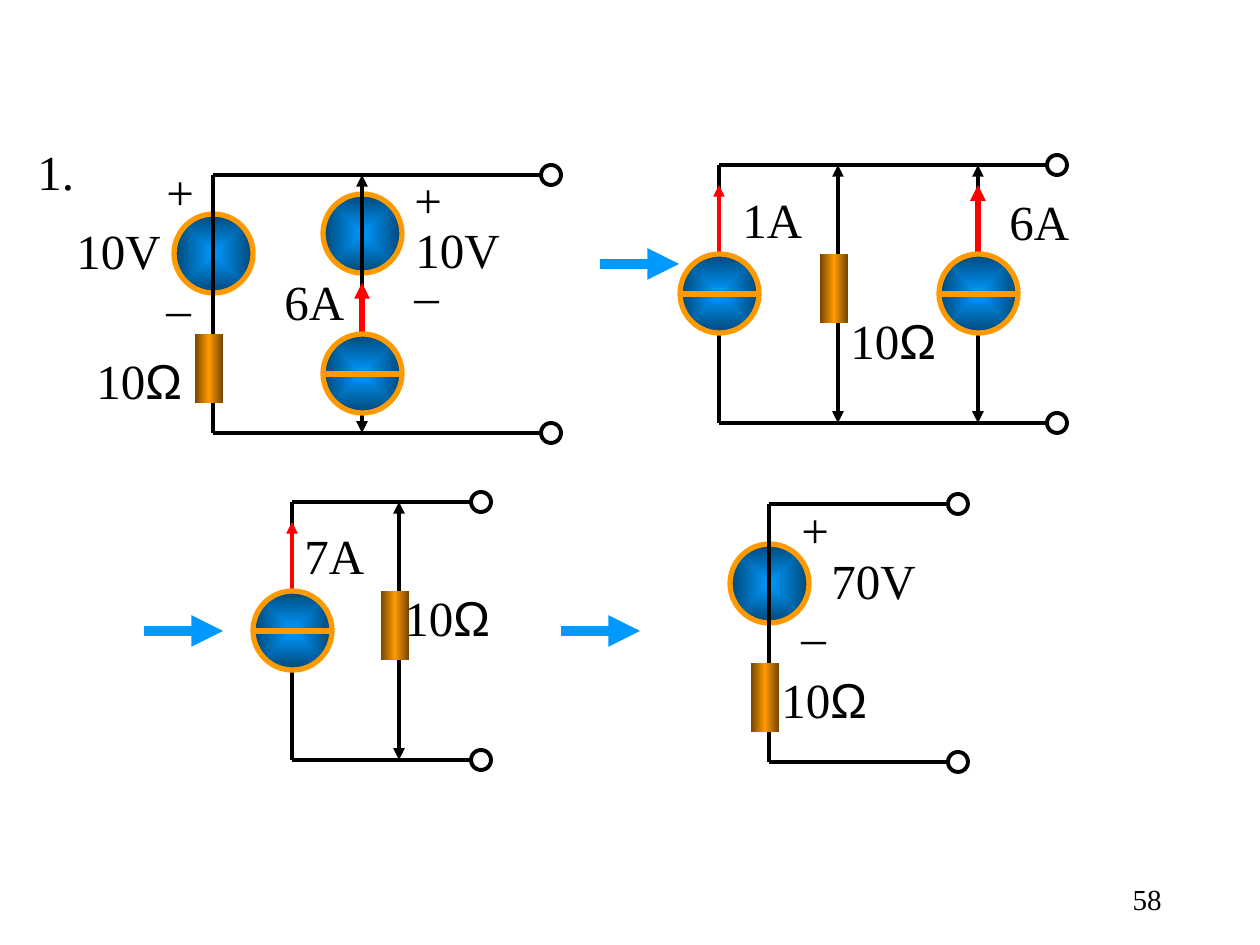
import dataclasses
import typing

import lxml.etree
import pptx
import pptx.dml.color
import pptx.enum.shapes
import pptx.enum.text
import pptx.oxml.ns
import pptx.util

PX = 914400 // 126
SOURCE, RESISTOR_W, RESISTOR_H, TERMINAL = 79, 28, 69, 20
RECT = pptx.enum.shapes.MSO_SHAPE.RECTANGLE
OVAL = pptx.enum.shapes.MSO_SHAPE.OVAL
qn = pptx.oxml.ns.qn


@dataclasses.dataclass(frozen=True)
class Theme:
    """Colours, fonts, type sizes and line widths."""
    ink: str = "000000"
    blue: str = "0099FF"
    navy: str = "004776"
    orange: str = "FF9900"
    brown: str = "764700"
    red: str = "FF0000"
    serif: str = "Times New Roman"
    sans: str = "Arial"
    label: float = 28
    number: float = 16.6
    wire: float = 2.25
    bold: float = 3
    block: float = 6


class Box(typing.NamedTuple):
    """Rectangle in px."""
    x: int
    y: int
    w: int
    h: int


T = Theme()
OHMS = (("10", T.serif), ("Ω", T.sans))


def rgb(color):
    """Turn a hex string into a colour."""
    return pptx.dml.color.RGBColor.from_string(color)


def line(s, x1, y1, x2, y2, color=T.ink, width=T.wire, head=False, tail=False):
    """Draw a straight line with optional arrowheads at its ends."""
    c = s.shapes.add_connector(pptx.enum.shapes.MSO_CONNECTOR.STRAIGHT,
                               x1 * PX, y1 * PX, x2 * PX, y2 * PX)
    c.line.color.rgb = rgb(color)
    c.line.width = pptx.util.Pt(width)
    sp_pr = c.element.spPr
    for tag, wanted in (("a:headEnd", head), ("a:tailEnd", tail)):
        if wanted:
            lxml.etree.SubElement(sp_pr.find(qn("a:ln")), qn(tag), type="triangle")
    lxml.etree.SubElement(sp_pr, qn("a:effectLst"))


def shape(s, kind, x, y, w, h, outline=None, width=T.wire, stops=(), radial=False):
    """Add a preset shape with an optional outline and gradient."""
    sp = s.shapes.add_shape(kind, x * PX, y * PX, w * PX, h * PX)
    sp.shadow.inherit = False
    if outline:
        sp.line.color.rgb = rgb(outline)
        sp.line.width = pptx.util.Pt(width)
    else:
        sp.line.fill.background()
    if stops:
        gradient(sp, stops, radial)
    else:
        sp.fill.background()


def gradient(sp, stops, radial):
    """Fill a shape with evenly spaced stops, across it or from its centre."""
    sp.fill.gradient()
    fill = sp.element.spPr.find(qn("a:gradFill"))
    for child in list(fill):
        fill.remove(child)
    sub = lxml.etree.SubElement
    gs_list = sub(fill, qn("a:gsLst"))
    for i, color in enumerate(stops):
        gs = sub(gs_list, qn("a:gs"), pos=str(100000 * i // (len(stops) - 1)))
        sub(gs, qn("a:srgbClr"), val=color)
    if radial:
        sub(sub(fill, qn("a:path"), path="rect"), qn("a:fillToRect"),
            **{side: "50000" for side in "ltrb"})
    else:
        sub(fill, qn("a:lin"), ang="0", scaled="1")


def text(s, runs, x, y, w, h=72, size=T.label):
    """Add a one-line text box and return it."""
    sp = s.shapes.add_textbox(x * PX, y * PX, w * PX, h * PX)
    tf = sp.text_frame
    tf.word_wrap = True
    for words, font in runs:
        r = tf.paragraphs[0].add_run()
        r.text = words
        r.font.name = font
        r.font.size = pptx.util.Pt(size)
        r.font.color.rgb = rgb(T.ink)
    return sp


def labels(s, box, items):
    """Place labels given as (text or runs, dx, dy, width) in a box."""
    for words, dx, dy, w in items:
        runs = ((words, T.serif),) if isinstance(words, str) else words
        text(s, runs, box.x + dx, box.y + dy, w)


def rails(s, box):
    """Draw the top and bottom wires with their open terminals."""
    for y in (box.y, box.y + box.h):
        line(s, box.x, y, box.x + box.w, y)
        shape(s, OVAL, box.x + box.w, y - TERMINAL // 2, TERMINAL, TERMINAL, T.ink)


def branch(s, box, dx, arrows=True):
    """Draw a vertical wire between the rails."""
    x = box.x + dx
    line(s, x, box.y, x, box.y + box.h, head=arrows, tail=arrows)


def source(s, box, dx, dy):
    """Draw the round body of a source centred on a branch."""
    shape(s, OVAL, box.x + dx - SOURCE // 2, box.y + dy, SOURCE, SOURCE,
          T.orange, T.bold, (T.blue, T.navy), radial=True)


def current_source(s, box, dx, dy, lead=69, width=T.wire):
    """Draw a barred source with a red arrow leading up from it."""
    x, y = box.x + dx, box.y + dy
    line(s, x, y - lead, x, y, T.red, width, head=True)
    source(s, box, dx, dy)
    left, middle = x - SOURCE // 2, y + SOURCE // 2 + 1
    line(s, left, middle, left + SOURCE, middle, T.orange, T.bold)


def resistor(s, box, dx, dy):
    """Draw a resistor on a branch."""
    shape(s, RECT, box.x + dx - 18, box.y + dy, RESISTOR_W, RESISTOR_H,
          stops=(T.brown, T.orange, T.brown))


def given_circuit(s, box):
    """Draw the numbered circuit with two voltage sources and a current source."""
    source(s, box, 0, 39)
    source(s, box, 149, 19)
    branch(s, box, 0, arrows=False)
    branch(s, box, 149)
    labels(s, box, (("1.", -188, -40, 69),
                    ("+", -59, -20, 49), ("10V", -149, 39, 120), ("_", -59, 80, 49),
                    (OHMS, -129, 169, 169),
                    ("+", 189, -12, 49), ("10V", 190, 38, 117), ("_", 189, 67, 49),
                    ("6A", 59, 90, 97)))
    rails(s, box)
    resistor(s, box, 0, 159)
    current_source(s, box, 149, 159, lead=51, width=T.bold)


def parallel_circuit(s, box):
    """Draw two current sources in parallel with a resistor."""
    branch(s, box, 0, arrows=False)
    branch(s, box, 119)
    branch(s, box, 259)
    labels(s, box, (("1A", 11, 18, 97), (OHMS, 119, 139, 169), ("6A", 278, 20, 97)))
    rails(s, box)
    resistor(s, box, 119, 89)
    current_source(s, box, 0, 89)
    current_source(s, box, 259, 89, width=T.bold)


def combined_circuit(s, box):
    """Draw one current source in parallel with a resistor."""
    branch(s, box, 0, arrows=False)
    branch(s, box, 107)
    labels(s, box, (("7A", 0, 17, 97), (OHMS, 100, 79, 169)))
    rails(s, box)
    resistor(s, box, 107, 89)
    current_source(s, box, 0, 89)


def series_circuit(s, box):
    """Draw one voltage source in series with a resistor."""
    source(s, box, 0, 40)
    branch(s, box, 0, arrows=False)
    labels(s, box, (("+", 20, -11, 43), ("70V", 50, 40, 113), ("_", 20, 79, 43),
                    (OHMS, 0, 159, 169)))
    rails(s, box)
    resistor(s, box, 0, 159)


def page_number(s, box):
    """Write the page number at the right of a box."""
    tf = text(s, (("58", T.serif),), *box, size=T.number).text_frame
    tf.vertical_anchor = pptx.enum.text.MSO_ANCHOR.MIDDLE
    tf.paragraphs[0].alignment = pptx.enum.text.PP_ALIGN.RIGHT
    tf.paragraphs[0].line_spacing = 0.9


def main():
    """Build and save the slide."""
    prs = pptx.Presentation()
    prs.slide_width, prs.slide_height = pptx.util.Inches(10), pptx.util.Inches(7.5)
    s = prs.slides.add_slide(prs.slide_layouts[6])
    page_number(s, Box(890, 876, 284, 50))
    for x, y in ((600, 264), (144, 631), (561, 631)):
        line(s, x, y, x + 79, y, T.blue, T.block, tail=True)
    given_circuit(s, Box(213, 175, 328, 258))
    parallel_circuit(s, Box(719, 165, 328, 258))
    combined_circuit(s, Box(292, 502, 179, 258))
    series_circuit(s, Box(769, 504, 179, 258))
    prs.save("out.pptx")


if __name__ == "__main__":
    main()
